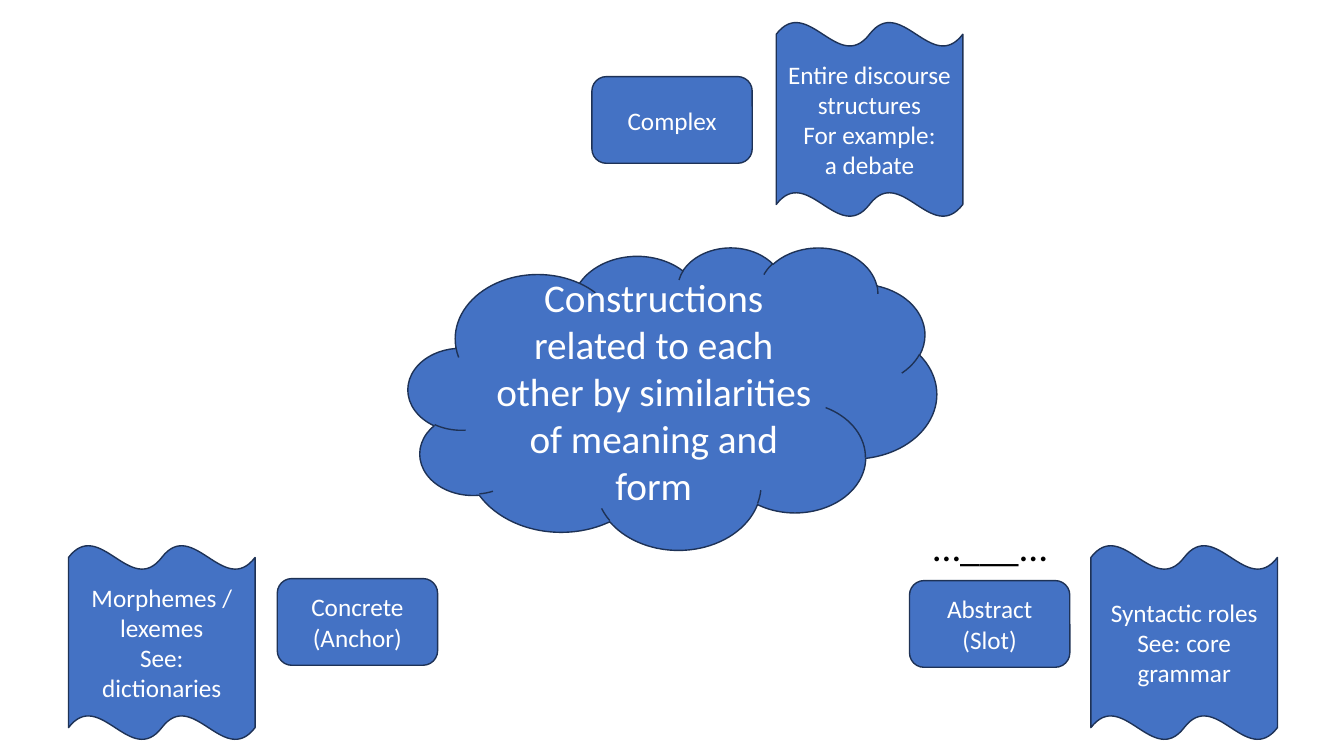
from dataclasses import dataclass

from pptx import Presentation
from pptx.dml.color import RGBColor
from pptx.enum.shapes import MSO_SHAPE
from pptx.enum.text import MSO_ANCHOR, MSO_AUTO_SIZE, PP_ALIGN
from pptx.util import Inches, Pt


@dataclass(frozen=True)
class Theme:
    font: str = "Calibri"
    fill: RGBColor = RGBColor(0x44, 0x72, 0xC4)
    outline: RGBColor = RGBColor(0x1E, 0x32, 0x56)
    light: RGBColor = RGBColor(0xFF, 0xFF, 0xFF)
    dark: RGBColor = RGBColor(0x00, 0x00, 0x00)
    label_size: int = 18
    headline_size: int = 28
    outline_width: int = 1


THEME = Theme()
SLIDE_WIDTH, SLIDE_HEIGHT = Inches(13.33), Inches(7.5)
POLE_SIZE = (11.93, 11.47)
EXAMPLE_SIZE = (13.88, 25.73)

POLES = [
    ("Complex", 44.04, 10.13),
    ("Concrete\n(Anchor)", 20.63, 76.53),
    ("Abstract\n(Slot)", 67.67, 76.8),
]
EXAMPLES = [
    ("Morphemes / lexemes\nSee: dictionaries", 5.1, 72.13),
    ("Syntactic roles\nSee: core grammar", 81.17, 72.13),
    ("Entire discourse structures\nFor example:\na debate", 57.76, 2.93),
]


def place(left, top, width, height):
    return (
        int(SLIDE_WIDTH * left / 100),
        int(SLIDE_HEIGHT * top / 100),
        int(SLIDE_WIDTH * width / 100),
        int(SLIDE_HEIGHT * height / 100),
    )


def write(frame, wording, size, color):
    frame.word_wrap = True
    frame.text = wording
    for paragraph in frame.paragraphs:
        paragraph.alignment = PP_ALIGN.CENTER
        for run in paragraph.runs:
            run.font.name = THEME.font
            run.font.size = Pt(size)
            run.font.color.rgb = color


def add_node(slide, outline, wording, area, size=THEME.label_size):
    node = slide.shapes.add_shape(outline, *place(*area))
    node.shadow.inherit = False
    node.fill.solid()
    node.fill.fore_color.rgb = THEME.fill
    node.line.color.rgb = THEME.outline
    node.line.width = Pt(THEME.outline_width)
    node.text_frame.vertical_anchor = MSO_ANCHOR.MIDDLE
    write(node.text_frame, wording, size, THEME.light)


def add_slot_pattern(slide, wording, area):
    frame = slide.shapes.add_textbox(*place(*area)).text_frame
    write(frame, wording, THEME.headline_size, THEME.dark)
    frame.auto_size = MSO_AUTO_SIZE.SHAPE_TO_FIT_TEXT


def main():
    deck = Presentation()
    deck.slide_width, deck.slide_height = SLIDE_WIDTH, SLIDE_HEIGHT
    slide = deck.slides.add_slide(deck.slide_layouts[6])

    for wording, left, top in POLES:
        add_node(slide, MSO_SHAPE.ROUNDED_RECTANGLE, wording, (left, top, *POLE_SIZE))
    for wording, left, top in EXAMPLES:
        add_node(slide, MSO_SHAPE.DOUBLE_WAVE, wording, (left, top, *EXAMPLE_SIZE))
    add_slot_pattern(slide, "…___...", (68.12, 68.4, 11.18, 7.6))
    add_node(
        slide,
        MSO_SHAPE.CLOUD,
        "Constructions related to each other by similarities of meaning and form",
        (30.38, 32.67, 39.31, 40),
        THEME.headline_size,
    )

    deck.save("out.pptx")


if __name__ == "__main__":
    main()
